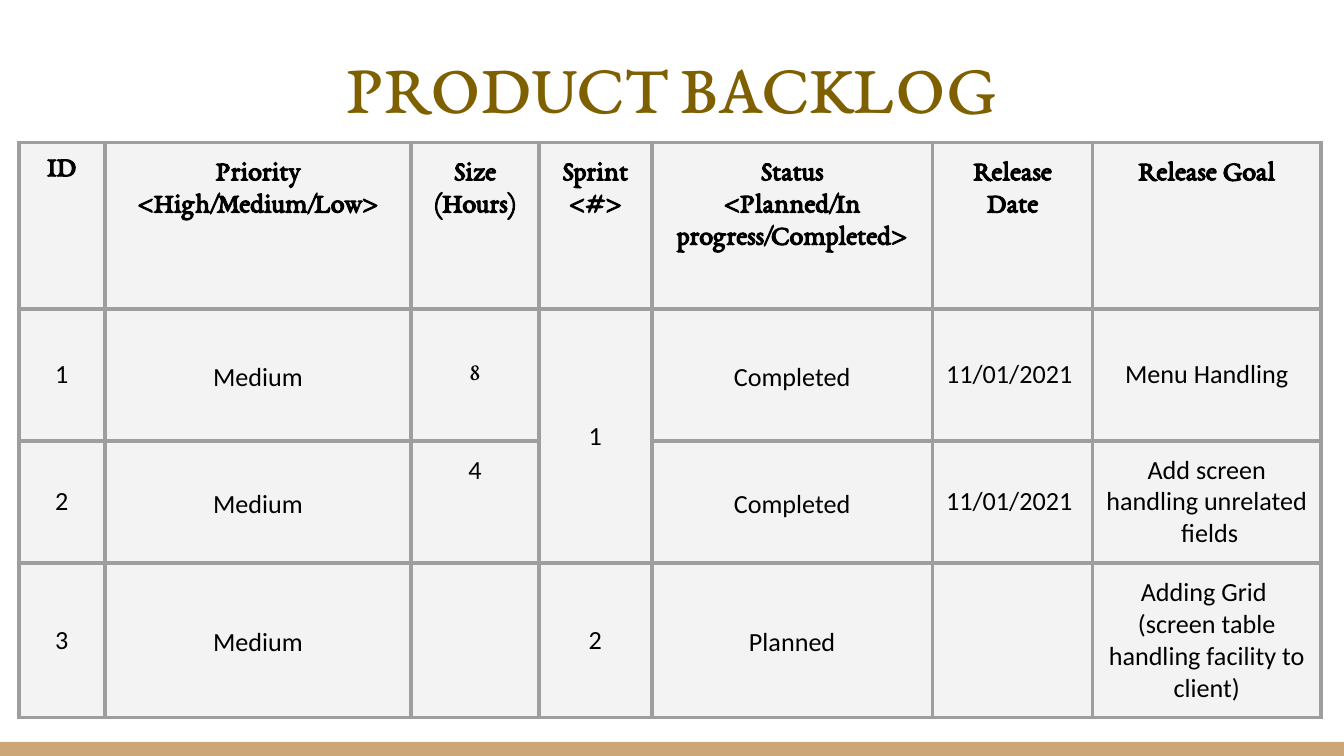
import pptx
import pptx.dml.color
import pptx.enum.shapes
import pptx.enum.text
import pptx.oxml.ns
import pptx.util
from dataclasses import dataclass
from lxml import etree

Inches = pptx.util.Inches
Pt = pptx.util.Pt
ANCHOR = pptx.enum.text.MSO_ANCHOR
ALIGN = pptx.enum.text.PP_ALIGN


@dataclass(frozen=True)
class Theme:
    heading_font: str = "EB Garamond"
    body_font: str = "Calibri"
    title_size: float = 38
    header_size: float = 15
    body_size: float = 14
    line_spacing: float = 1.15
    margin: float = 0.1
    border_width: float = 2.25
    title_color: str = "7F6000"
    text_color: str = "000000"
    cell_color: str = "F3F3F3"
    border_color: str = "9E9E9E"
    bar_color: str = "CCA677"


def rgb(color):
    return pptx.dml.color.RGBColor.from_string(color)


class SlideBuilder:
    def __init__(self, slide, theme):
        self.slide = slide
        self.theme = theme

    def style_text(self, frame, font, size, color, bold=False,
                   align=ALIGN.CENTER, spacing=1.0):
        for para in frame.paragraphs:
            para.alignment = align
            para.line_spacing = spacing
            for span in para.runs:
                span.font.name = font
                span.font.size = Pt(size)
                span.font.bold = bold
                span.font.color.rgb = rgb(color)

    def bar(self, left, top, width, height):
        box = self.slide.shapes.add_shape(
            pptx.enum.shapes.MSO_SHAPE.RECTANGLE,
            Inches(left), Inches(top), Inches(width), Inches(height))
        box.shadow.inherit = False
        box.fill.solid()
        box.fill.fore_color.rgb = rgb(self.theme.bar_color)
        box.line.fill.background()

    def title(self, text, left, top, width, height):
        box = self.slide.shapes.title
        box.left, box.top = Inches(left), Inches(top)
        box.width, box.height = Inches(width), Inches(height)
        frame = box.text_frame
        frame.text = text
        frame.word_wrap = True
        frame.auto_size = pptx.enum.text.MSO_AUTO_SIZE.NONE
        frame.vertical_anchor = ANCHOR.TOP
        frame.margin_left = frame.margin_right = Inches(self.theme.margin)
        frame.margin_top = frame.margin_bottom = Inches(self.theme.margin)
        self.style_text(frame, self.theme.heading_font, self.theme.title_size,
                        self.theme.title_color,
                        spacing=self.theme.line_spacing)

    def cell_box(self, cell):
        properties = cell._tc.get_or_add_tcPr()
        for side in ("lnL", "lnR", "lnT", "lnB"):
            line = etree.SubElement(
                properties, pptx.oxml.ns.qn(f"a:{side}"),
                w=str(int(Pt(self.theme.border_width))))
            fill = etree.SubElement(line, pptx.oxml.ns.qn("a:solidFill"))
            etree.SubElement(fill, pptx.oxml.ns.qn("a:srgbClr"),
                             val=self.theme.border_color)
        cell.fill.solid()
        cell.fill.fore_color.rgb = rgb(self.theme.cell_color)
        cell.margin_left = cell.margin_right = Inches(self.theme.margin)
        cell.margin_top = cell.margin_bottom = Inches(self.theme.margin)

    def table(self, rows, left, top, widths, heights):
        frame = self.slide.shapes.add_table(
            len(rows), len(widths), Inches(left), Inches(top),
            Inches(sum(widths)), Inches(sum(heights)))
        table = frame.table
        table.first_row = table.horz_banding = False
        for column, width in zip(table.columns, widths):
            column.width = Inches(width)
        for row, height in zip(table.rows, heights):
            row.height = Inches(height)
        for row_number, row in enumerate(rows):
            for column_number, text in enumerate(row):
                cell = table.cell(row_number, column_number)
                self.cell_box(cell)
                cell.text_frame.text = text
                header = row_number == 0
                cell.vertical_anchor = ANCHOR.TOP if header else ANCHOR.MIDDLE
                # Wider line spacing in the headings and in the level columns
                loose = (column_number > 0 if header
                         else column_number in (PRIORITY, STATUS))
                self.style_text(
                    cell.text_frame,
                    self.theme.heading_font if header else self.theme.body_font,
                    self.theme.header_size if header else self.theme.body_size,
                    self.theme.text_color, bold=header,
                    align=(ALIGN.LEFT if not header and column_number == DATE
                           else ALIGN.CENTER),
                    spacing=self.theme.line_spacing if loose else 1.0)
        return table


PRIORITY, SIZE, SPRINT, STATUS, DATE = range(1, 6)
COLUMN_WIDTHS = [0.64, 2.28, 0.95, 0.84, 2.09, 1.19, 1.7]
ROW_HEIGHTS = [1.24, 0.98, 0.91, 1.15]
BACKLOG = [
    ["ID", "Priority\n<High/Medium/Low>", "Size\n(Hours)", "Sprint\n<#>",
     "Status\n<Planned/In progress/Completed>", "Release\nDate",
     "Release Goal"],
    ["1", "Medium", "8", "1", "Completed", "11/01/2021", "Menu Handling"],
    ["2", "Medium", "4", "", "Completed", "11/01/2021",
     "Add screen handling unrelated  fields"],
    ["3", "Medium", "", "2", "Planned", "",
     "Adding Grid  (screen table handling facility to client)"],
]


def main():
    deck = pptx.Presentation()
    # Widescreen, 16:9
    deck.slide_width = Inches(10)
    deck.slide_height = deck.slide_width * 9 // 16
    theme = Theme()
    page = SlideBuilder(deck.slides.add_slide(deck.slide_layouts[5]), theme)

    # Footer bar and heading
    page.bar(0, 5.52, 10, 0.11)
    page.title("PRODUCT BACKLOG", 0, 0.12, 10, 1.17)

    # Backlog table, with the first sprint spanning two items
    table = page.table(BACKLOG, 0.14, 1.06, COLUMN_WIDTHS, ROW_HEIGHTS)
    table.cell(1, SPRINT).merge(table.cell(2, SPRINT))

    # Sizes that differ from the other body cells
    page.style_text(table.cell(1, SIZE).text_frame, theme.heading_font,
                    theme.body_size, theme.text_color)
    table.cell(2, SIZE).vertical_anchor = ANCHOR.TOP

    deck.save("out.pptx")


if __name__ == "__main__":
    main()
